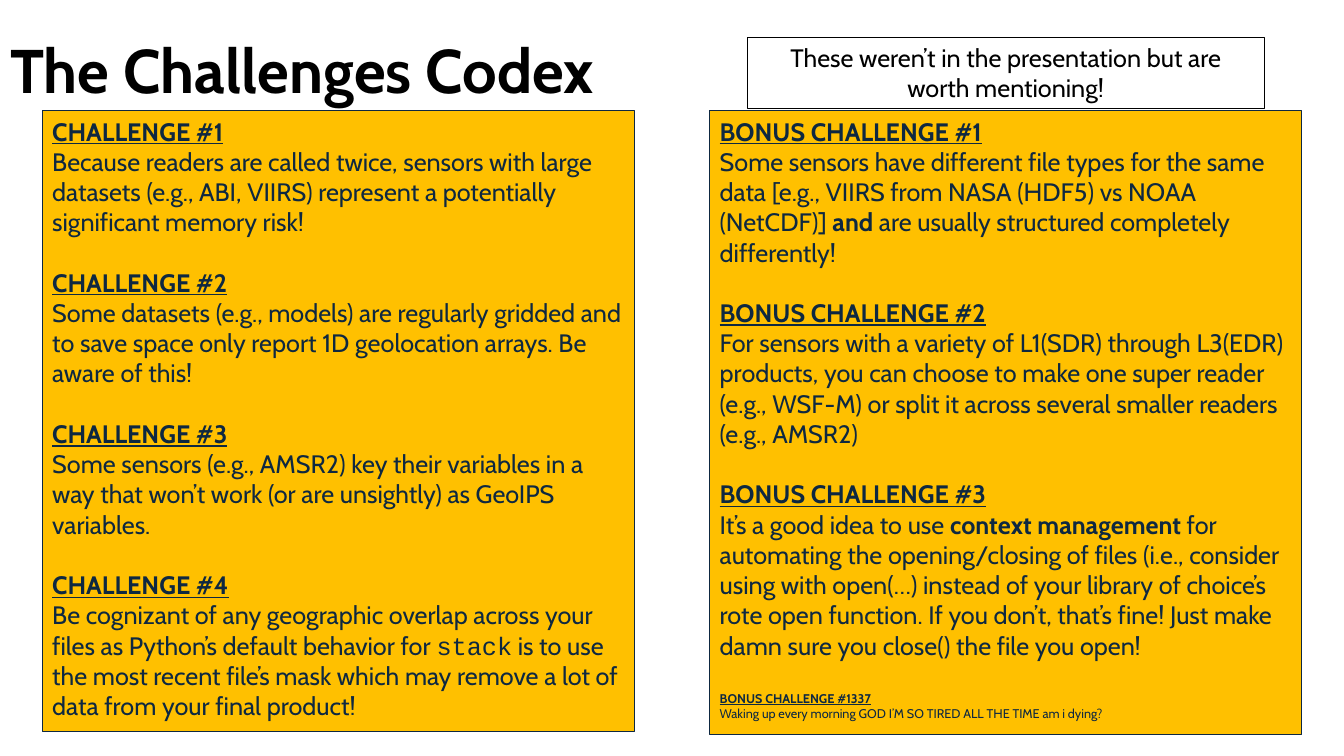
from pptx import Presentation
from pptx.dml.color import RGBColor
from pptx.enum import shapes, text
from pptx.util import Inches, Pt


def style(span, size, color, bold=False, underline=False, name="Cabin"):
    span.font.name = name
    span.font.size = Pt(size)
    span.font.bold = bold
    span.font.underline = underline
    span.font.color.rgb = RGBColor.from_string(color)


def add_panel(page, left, top, width, height, fill, line):
    box = page.shapes.add_shape(
        shapes.MSO_SHAPE.RECTANGLE, Inches(left), Inches(top), Inches(width), Inches(height)
    )
    box.shadow.inherit = False
    box.fill.solid()
    box.fill.fore_color.rgb = RGBColor.from_string(fill)
    box.line.color.rgb = RGBColor.from_string(line)
    box.line.width = Pt(0.75)
    frame = box.text_frame
    frame.word_wrap = True
    frame.auto_size = text.MSO_AUTO_SIZE.SHAPE_TO_FIT_TEXT
    frame.vertical_anchor = text.MSO_ANCHOR.TOP
    return frame


NAVY, AMBER, BLACK, WHITE = "0E2841", "FFC000", "000000", "FFFFFF"
BLANK_LINE = Pt(21.6)

challenges = [
    ("CHALLENGE #1", 18, [
        ("Because readers are called twice, sensors with large datasets (e.g., ABI, VIIRS) "
         "represent a potentially significant memory risk!", {}),
    ]),
    ("CHALLENGE #2", 18, [
        ("Some datasets (e.g., models) are regularly gridded and to save space only report "
         "1D geolocation arrays. Be aware of this!", {}),
    ]),
    ("CHALLENGE #3", 18, [
        ("Some sensors (e.g., AMSR2) key their variables in a way that won’t work "
         "(or are unsightly) as GeoIPS variables.", {}),
    ]),
    ("CHALLENGE #4", 18, [
        ("Be cognizant of any geographic overlap across your files as Python’s default "
         "behavior for ", {}),
        ("stack", {"name": "Courier New"}),
        (" is to use the most recent file’s mask which may remove a lot of data from your "
         "final product!", {}),
    ]),
]
bonus_challenges = [
    ("BONUS CHALLENGE #1", 18, [
        ("Some sensors have different file types for the same data [e.g., VIIRS from NASA "
         "(HDF5) vs NOAA (NetCDF)] ", {}),
        ("and", {"bold": True}),
        (" are usually structured completely differently!", {}),
    ]),
    ("BONUS CHALLENGE #2", 18, [
        ("For sensors with a variety of L1(SDR) through L3(EDR) products, you can choose to "
         "make one super reader (e.g., WSF-M) or split it across several smaller readers "
         "(e.g., AMSR2)", {}),
    ]),
    ("BONUS CHALLENGE #3", 18, [
        ("It’s a good idea to use ", {}),
        ("context management", {"bold": True}),
        (" for automating the opening/closing of files (i.e., consider using with open(…) "
         "instead of your library of choice’s rote open function. If you don’t, that’s fine! "
         "Just make damn sure you close() the file you open!", {}),
    ]),
    ("BONUS CHALLENGE #1337", 9, [
        ("Waking up every morning GOD I’M SO TIRED ALL THE TIME am i dying?", {}),
    ]),
]

deck = Presentation()
deck.slide_width = Inches(13.33)
deck.slide_height = Inches(7.5)
page = deck.slides.add_slide(deck.slide_layouts[5])

title = page.shapes.title
title.left, title.top = Inches(0), Inches(0)
title.width, title.height = Inches(11.5), Inches(1.45)
title.text_frame.text = "The Challenges Codex"
title.text_frame.vertical_anchor = text.MSO_ANCHOR.MIDDLE
heading = title.text_frame.paragraphs[0]
heading.alignment = text.PP_ALIGN.LEFT
heading.line_spacing = 0.9
style(heading.runs[0], 44, BLACK, bold=True)

for left, height, entries in [(0.42, 6.16, challenges), (7.04, 6.19, bonus_challenges)]:
    frame = add_panel(page, left, 1.1, 5.87, height, AMBER, NAVY)
    for index, (label, size, spans) in enumerate(entries):
        para = frame.add_paragraph() if index else frame.paragraphs[0]
        para.text = label
        para.alignment = text.PP_ALIGN.LEFT
        if index:
            para.space_before = BLANK_LINE
        style(para.runs[0], size, NAVY, bold=True, underline=True)
        para = frame.add_paragraph()
        para.alignment = text.PP_ALIGN.LEFT
        for words, look in spans:
            span = para.add_run()
            span.text = words
            style(span, size, NAVY, **look)

note = add_panel(page, 7.41, 0.37, 5.13, 0.71, WHITE, BLACK)
note.text = "These weren’t in the presentation but are worth mentioning!"
note.paragraphs[0].alignment = text.PP_ALIGN.CENTER
style(note.paragraphs[0].runs[0], 18, BLACK)

deck.save("out.pptx")
